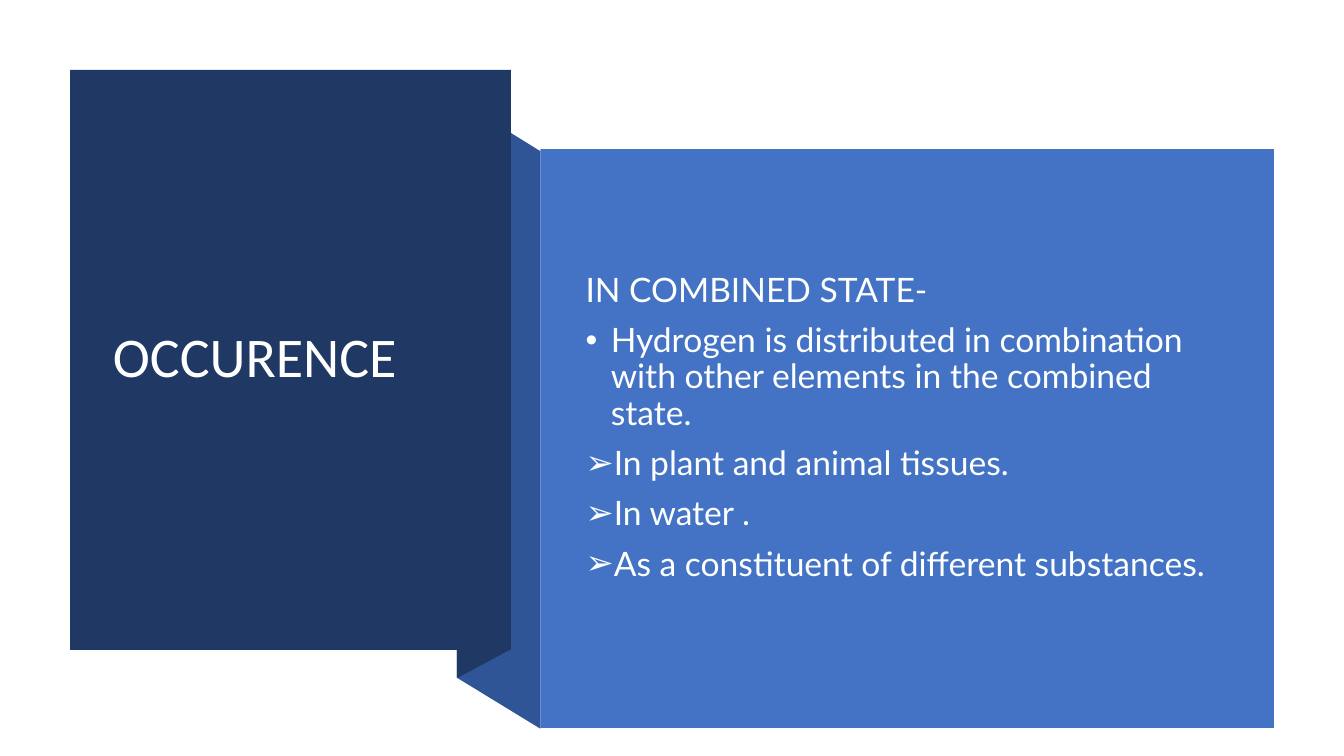
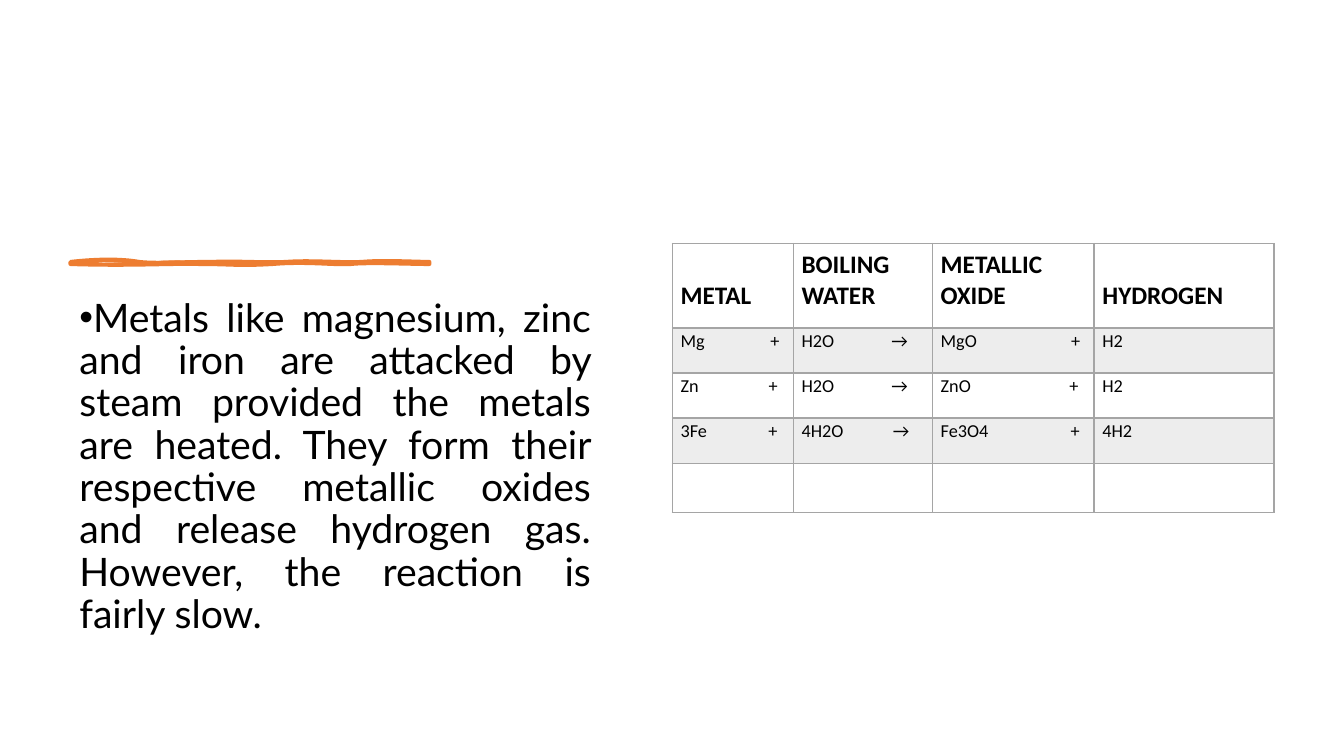
from dataclasses import dataclass

from lxml import etree
from pptx import Presentation
from pptx import util as u
from pptx.dml.color import RGBColor
from pptx.enum import shapes, text
from pptx.oxml import ns

Pt = u.Pt


@dataclass(frozen=True)
class Theme:
    navy: str = "203864"
    fold: str = "2F5597"
    blue: str = "4472C4"
    orange: str = "ED7D31"
    rule: str = "A5A5A5"
    band: str = "EDEDED"
    white: str = "FFFFFF"
    off_white: str = "FEFFFF"
    black: str = "000000"
    heading_font: str = "Calibri"
    body_font: str = "Lato"
    title_size: int = 40
    body_size: int = 24
    large_size: int = 28
    header_size: int = 18
    cell_size: int = 13


theme = Theme()


def apply(target, values):
    """Set each named attribute; a hex string under "rgb" sets the colour."""
    for name, value in values.items():
        if name == "rgb":
            target.color.rgb = RGBColor.from_string(value)
        else:
            setattr(target, name, value)


def write(para, words, font, layout=None, bullet=None, gap=None, margin=0, indent=0):
    """Fill a paragraph; a gap in points widens the space between its two words."""
    props = para._p.get_or_add_pPr()
    props.set("marL", str(Pt(margin)))
    props.set("indent", str(Pt(indent)))
    if bullet:
        etree.SubElement(props, ns.qn("a:buFont"), typeface="Arial")
        etree.SubElement(props, ns.qn("a:buChar"), char=bullet)
    else:
        etree.SubElement(props, ns.qn("a:buNone"))
    apply(para, layout or {})
    for part in words.partition(" ") if gap else (words,):
        if part:
            span = para.add_run()
            span.text = part
            apply(span.font, font)
            if part == " ":
                span._r.get_or_add_rPr().set("spc", str(round(gap * 100)))


# Shared formats
title_font = {"name": theme.heading_font, "size": Pt(theme.title_size), "rgb": theme.white}
body_font = {"name": theme.body_font, "size": Pt(theme.body_size), "rgb": theme.off_white}
large_font = {"name": theme.body_font, "size": Pt(theme.large_size), "rgb": theme.black}
header_font = {"name": theme.heading_font, "size": Pt(theme.header_size),
               "rgb": theme.black, "bold": True}
cell_font = {**header_font, "size": Pt(theme.cell_size), "bold": False}
left = {"alignment": text.PP_ALIGN.LEFT, "line_spacing": 0.9}
wrapped = {"word_wrap": True, "auto_size": text.MSO_AUTO_SIZE.NONE}
centred = {**wrapped, "vertical_anchor": text.MSO_ANCHOR.MIDDLE}

deck = Presentation()
apply(deck, {"slide_width": Pt(960), "slide_height": Pt(540)})

# Slide 1: folded ribbon with title and list
page = deck.slides.add_slide(deck.slide_layouts[5])
panels = [
    (theme.fold, [(386, 520.5), (326.3, 484), (326.3, 71), (386, 108)]),
    (theme.navy, [(364.5, 464), (326.3, 484.5), (326.3, 70.5), (364.5, 50)]),
    (theme.navy, [(50, 50), (365, 50), (365, 464.2), (50, 464.2)]),
    (theme.blue, [(386, 106.5), (910, 106.5), (910, 520), (386, 520)]),
]
for colour, corners in panels:
    points = [(Pt(x), Pt(y)) for x, y in corners]
    if corners[0][1] == corners[1][1]:
        (x1, y1), _, (x2, y2), _ = points
        panel = page.shapes.add_shape(shapes.MSO_SHAPE.RECTANGLE, x1, y1, x2 - x1, y2 - y1)
    else:
        builder = page.shapes.build_freeform(*points[0])
        builder.add_line_segments(points[1:])
        panel = builder.convert_to_shape()
    panel.shadow.inherit = False
    panel.fill.solid()
    panel.fill.fore_color.rgb = RGBColor.from_string(colour)
    panel.line.fill.background()

# Title, lifted above the panels
title = page.shapes.title
apply(title, {"left": Pt(73.5), "top": Pt(77), "width": Pt(267), "height": Pt(359)})
apply(title.text_frame, centred)
write(title.text_frame.paragraphs[0], "OCCURENCE", title_font, left)
panel.element.addnext(title.element)

# List
box = page.shapes.add_textbox(Pt(411.2), Pt(135.5), Pt(469), Pt(341))
apply(box.text_frame, centred)
items = [
    (None, "IN COMBINED STATE-"),
    ("•", "Hydrogen is distributed in combination with other elements in the combined state."),
    ("➢", "In plant and animal tissues."),
    ("➢", "In water ."),
    ("➢", "As a constituent of different substances."),
]
for number, (bullet, words) in enumerate(items):
    para = box.text_frame.add_paragraph() if number else box.text_frame.paragraphs[0]
    layout = {**left, "space_before": Pt(10)} if number else left
    hang = 18 if bullet else 0
    write(para, words, body_font, layout, bullet, margin=hang, indent=-hang)

# Slide 2: brush stroke, paragraph and reaction table
page = deck.slides.add_slide(deck.slide_layouts[6])

# Brush stroke: each row holds two control points and an end point
start = (Pt(50.4), Pt(187.2))
outline = [
    (70, 185, 87, 185, 99.4, 187.2),
    (111.6, 188.6, 127.4, 187.2, 150.5, 187.2),
    (173.5, 186.5, 187.2, 188, 204.5, 187.2),
    (221.8, 185.8, 244, 188, 258.5, 187.2),
    (273, 185.8, 296.6, 187.2, 306.7, 187.2),
    (306.7, 187.2, 306.7, 188, 306.7, 188.6),
    (293.8, 188.6, 262, 187.2, 250.6, 188.6),
    (239, 189.4, 218.9, 186.5, 194.4, 188.6),
    (169.2, 190, 166.3, 188.6, 143.3, 188.6),
    (119.5, 188, 95, 190, 50.4, 188.6),
]
core = [
    (73.4, 188.6, 79.2, 187.2, 99.4, 187.2),
    (119.5, 186.5, 121.7, 185, 143.3, 187.2),
    (164.2, 188.6, 188, 188, 199.4, 187.2),
    (211, 185.8, 235.4, 188.6, 247.7, 187.2),
    (260.6, 185, 285.8, 189.4, 306.7, 187.2),
    (306.7, 187.2, 306.7, 188, 306.7, 188.6),
    (296.6, 188, 267.8, 190, 255.6, 188.6),
    (243.4, 186.5, 222.5, 188.6, 199.4, 188.6),
    (175.7, 188, 172.8, 187.2, 155.5, 188.6),
    (139, 189.4, 128.9, 188, 104.4, 188.6),
    (80, 188.6, 66.2, 188, 50.4, 188.6),
]
builder = page.shapes.build_freeform(*start)
for number, curves in enumerate((outline, core)):
    if number:
        builder.move_to(*start)
    builder.add_line_segments(
        [(Pt(row[i]), Pt(row[i + 1])) for row in curves for i in (0, 2, 4)])
stroke = builder.convert_to_shape()
stroke.shadow.inherit = False
stroke.fill.solid()
stroke.fill.fore_color.rgb = RGBColor.from_string(theme.orange)
apply(stroke.line, {"rgb": theme.orange, "width": Pt(3)})

# Split into a stroked and a filled contour, and turn point triples into curves
stroked = stroke.element.find(".//" + ns.qn("a:path"))
filled = etree.SubElement(stroked.getparent(), stroked.tag, dict(stroked.attrib))
second_start = stroked.findall(ns.qn("a:moveTo"))[1]
filled.extend(list(stroked)[stroked.index(second_start):])
stroked.set("fill", "none")
filled.set("stroke", "0")
for contour in (stroked, filled):
    lines = contour.findall(ns.qn("a:lnTo"))
    for i in range(0, len(lines), 3):
        curve = etree.SubElement(contour, ns.qn("a:cubicBezTo"))
        lines[i].addprevious(curve)
        for line in lines[i:i + 3]:
            curve.append(line[0])
            contour.remove(line)

# Paragraph
box = page.shapes.add_textbox(Pt(49.7), Pt(209.5), Pt(379.5), Pt(279.5))
apply(box.text_frame, wrapped)
write(box.text_frame.paragraphs[0],
      "Metals like magnesium, zinc and iron are attacked by steam provided the metals "
      "are heated. They form their respective metallic oxides and release hydrogen gas. "
      "However, the reaction is fairly slow.",
      large_font,
      {"alignment": text.PP_ALIGN.JUSTIFY, "line_spacing": 0.9, "space_after": Pt(6)},
      "•", indent=-18)

# Table: each row holds its words and the gaps before its operators
no_gaps = (None,) * 4
rows = [
    (("METAL", "BOILING WATER", "METALLIC OXIDE", "HYDROGEN"), no_gaps),
    (("Mg +", "H2O →", "MgO +", "H2"), (44, 38, 64.5, None)),
    (("Zn +", "H2O →", "ZnO +", "H2"), (47, 38, 67.5, None)),
    (("3Fe +", "4H2O →", "Fe3O4 +", "4H2"), (41, 32.5, 56, None)),
    (("",) * 4, no_gaps),
]
widths = [86.4, 99.4, 115.5, 128.6]
heights = [60.3, 32.2, 32.2, 32.2, 34.6]
table = page.shapes.add_table(len(rows), len(widths), Pt(480.2), Pt(174),
                              Pt(sum(widths)), Pt(sum(heights))).table
apply(table, {"first_row": False, "horz_banding": False})
for column, width in zip(table.columns, widths):
    column.width = Pt(width)
for r, ((words_row, gaps), height) in enumerate(zip(rows, heights)):
    table.rows[r].height = Pt(height)
    header = r == 0
    for c, (words, gap) in enumerate(zip(words_row, gaps)):
        cell = table.cell(r, c)
        apply(cell, {
            "margin_left": Pt(6), "margin_top": Pt(1.5),
            "margin_right": Pt(8), "margin_bottom": Pt(12),
            "vertical_anchor": text.MSO_ANCHOR.BOTTOM if header else text.MSO_ANCHOR.TOP,
        })
        # Borders come before the fill
        props = cell._tc.get_or_add_tcPr()
        for side in "LRTB":
            heavy = (header and side == "B") or (r == 1 and side == "T")
            edge = etree.SubElement(props, ns.qn(f"a:ln{side}"), w=str(Pt(2 if heavy else 1)))
            paint = etree.SubElement(edge, ns.qn("a:solidFill"))
            etree.SubElement(paint, ns.qn("a:srgbClr"), val=theme.rule)
        if r % 2:
            cell.fill.solid()
            cell.fill.fore_color.rgb = RGBColor.from_string(theme.band)
        else:
            cell.fill.background()
        write(cell.text_frame.paragraphs[0], words, header_font if header else cell_font, gap=gap)

deck.save("out.pptx")
